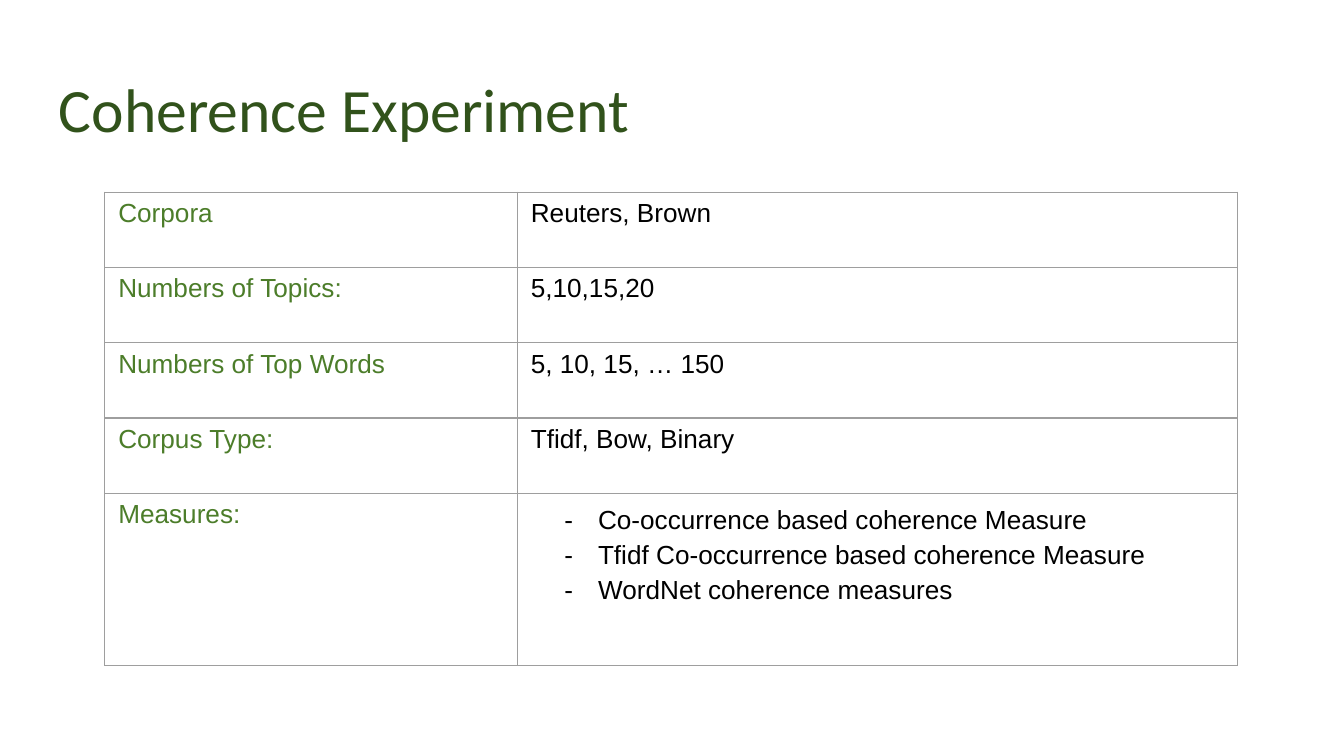
from lxml.etree import SubElement
from pptx import Presentation
from pptx.dml.color import RGBColor
from pptx.enum.text import MSO_ANCHOR
from pptx.oxml.ns import qn
from pptx.util import Inches, Pt

COLORS = {"title": "31521B", "label": "4C7D2A", "value": "000000", "border": "9E9E9E"}
ROWS = [
    ("Corpora", ["Reuters, Brown"]),
    ("Numbers of Topics:", ["5,10,15,20"]),
    ("Numbers of Top Words", ["5, 10, 15, … 150"]),
    ("Corpus Type:", ["Tfidf, Bow, Binary"]),
    ("Measures:", [
        "Co-occurrence based coherence Measure",
        "Tfidf Co-occurrence based coherence Measure",
        "WordNet coherence measures",
    ]),
]
COLUMN_WIDTHS = [3.07, 5.36]
ROW_HEIGHTS = [0.56] * 4 + [1.28]


def add_run(para, text, font, size, color):
    run = para.add_run()
    run.text = text
    run.font.name = font
    run.font.size = Pt(size)
    run.font.color.rgb = RGBColor.from_string(COLORS[color])


def add_borders(cell):
    props = cell._tc.get_or_add_tcPr()
    for side in ("a:lnL", "a:lnR", "a:lnT", "a:lnB"):
        line = SubElement(props, qn(side), w=str(Pt(0.75)))
        fill = SubElement(line, qn("a:solidFill"))
        SubElement(fill, qn("a:srgbClr"), val=COLORS["border"])


deck = Presentation()
deck.slide_width = Inches(10)
deck.slide_height = Inches(10 * 9 / 16)
page = deck.slides.add_slide(deck.slide_layouts[6])

# Title
title = page.shapes.add_textbox(Inches(0.34), Inches(0.49), Inches(9.32), Inches(0.63))
frame = title.text_frame
frame.word_wrap = True
frame.vertical_anchor = MSO_ANCHOR.TOP
frame.margin_left = frame.margin_right = Inches(0.1)
frame.margin_top = frame.margin_bottom = Inches(0.1)
frame.paragraphs[0].line_spacing = 0.9
add_run(frame.paragraphs[0], "Coherence Experiment", "Calibri", 33, "title")

# Experiment settings
table = page.shapes.add_table(
    len(ROWS), len(COLUMN_WIDTHS), Inches(0.78), Inches(1.43),
    Inches(sum(COLUMN_WIDTHS)), Inches(sum(ROW_HEIGHTS))).table
table.first_row = table.horz_banding = False
for column, width in zip(table.columns, COLUMN_WIDTHS):
    column.width = Inches(width)

for row, height, (label, values) in zip(table.rows, ROW_HEIGHTS, ROWS):
    row.height = Inches(height)
    for cell, lines, color in zip(row.cells, ([label], values), ("label", "value")):
        add_borders(cell)
        cell.fill.background()
        cell.margin_left = cell.margin_right = Inches(0.1)
        cell.margin_top = cell.margin_bottom = Inches(0.05)
        for index, text in enumerate(lines):
            frame = cell.text_frame
            para = frame.add_paragraph() if index else frame.paragraphs[0]
            if len(lines) > 1:
                props = para._p.get_or_add_pPr()
                props.set("marL", str(Inches(0.5)))
                props.set("indent", str(Inches(-0.25)))
                SubElement(props, qn("a:buFont"), typeface="Arial")
                SubElement(props, qn("a:buChar"), char="-")
                para.line_spacing = 1.2
            add_run(para, text, "Arial", 14, color)

deck.save("out.pptx")
